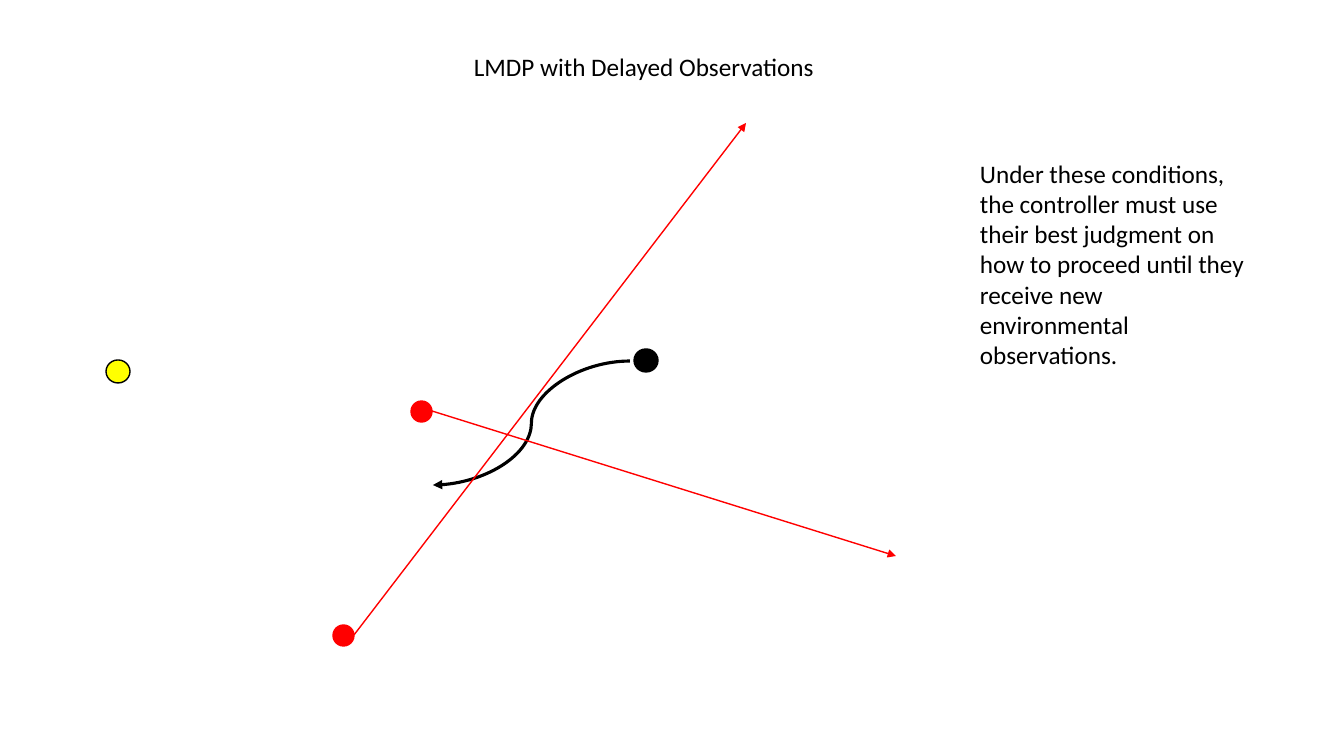
from dataclasses import dataclass

from lxml import etree
from pptx import Presentation
from pptx.dml.color import RGBColor
from pptx.enum.shapes import MSO_CONNECTOR, MSO_SHAPE
from pptx.enum.text import MSO_AUTO_SIZE
from pptx.oxml.ns import qn
from pptx.util import Emu, Pt

OVAL = MSO_SHAPE.OVAL
STRAIGHT = MSO_CONNECTOR.STRAIGHT
CURVE = MSO_CONNECTOR.CURVE
FIT_TEXT = MSO_AUTO_SIZE.SHAPE_TO_FIT_TEXT
EMU_PER_PX = 914400 / 100.8


@dataclass(frozen=True)
class Theme:
    font: str = "Calibri"
    text_size: int = 18
    thin: float = 1
    thick: float = 2.25
    black: RGBColor = RGBColor(0, 0, 0)
    red: RGBColor = RGBColor(255, 0, 0)
    yellow: RGBColor = RGBColor(255, 255, 0)


def px(length):
    return Emu(round(length * EMU_PER_PX))


class SlideBuilder:
    def __init__(self, slide, theme):
        self.slide = slide
        self.theme = theme

    def text(self, left, top, width, height, wording, wrap=True):
        shape = self.slide.shapes.add_textbox(*map(px, (left, top, width, height)))
        frame = shape.text_frame
        frame.word_wrap = wrap
        frame.auto_size = FIT_TEXT
        paragraph = frame.paragraphs[0]
        paragraph.text = wording
        paragraph.font.name = self.theme.font
        paragraph.font.size = Pt(self.theme.text_size)
        paragraph.font.color.rgb = self.theme.black

    def dot(self, left, top, width, height, fill, outline):
        shape = self.slide.shapes.add_shape(OVAL, *map(px, (left, top, width, height)))
        shape.shadow.inherit = False
        shape.fill.solid()
        shape.fill.fore_color.rgb = fill
        shape.line.color.rgb = outline
        shape.line.width = Pt(self.theme.thin)

    def arrow(self, kind, start, end, color, weight):
        connector = self.slide.shapes.add_connector(kind, *map(px, (*start, *end)))
        connector.line.color.rgb = color
        connector.line.width = Pt(weight)
        outline = connector.line._get_or_add_ln()
        etree.SubElement(outline, qn("a:tailEnd"), type="triangle")
        etree.SubElement(connector._element.spPr, qn("a:effectLst"))


def main():
    presentation = Presentation()
    presentation.slide_width = px(1344)
    presentation.slide_height = px(756)
    slide = presentation.slides.add_slide(presentation.slide_layouts[6])
    theme = Theme()
    builder = SlideBuilder(slide, theme)

    builder.dot(106, 360, 24, 23, theme.yellow, theme.black)
    builder.dot(634, 349, 24, 23, theme.black, theme.black)
    builder.text(464, 46, 364, 40, "LMDP with Delayed Observations", wrap=False)
    builder.text(
        970, 153, 286, 224,
        "Under these conditions, the controller must use their best judgment "
        "on how to proceed until they receive new environmental observations.",
    )
    builder.arrow(CURVE, (630, 361), (433, 485), theme.black, theme.thick)

    red_size = 21
    for left, top, target in ((411, 401, (896, 556)), (333, 625, (746, 123))):
        builder.dot(left, top, red_size, red_size, theme.red, theme.red)
        start = (left + red_size, top + red_size // 2)
        builder.arrow(STRAIGHT, start, target, theme.red, theme.thin)

    presentation.save("out.pptx")


if __name__ == "__main__":
    main()
